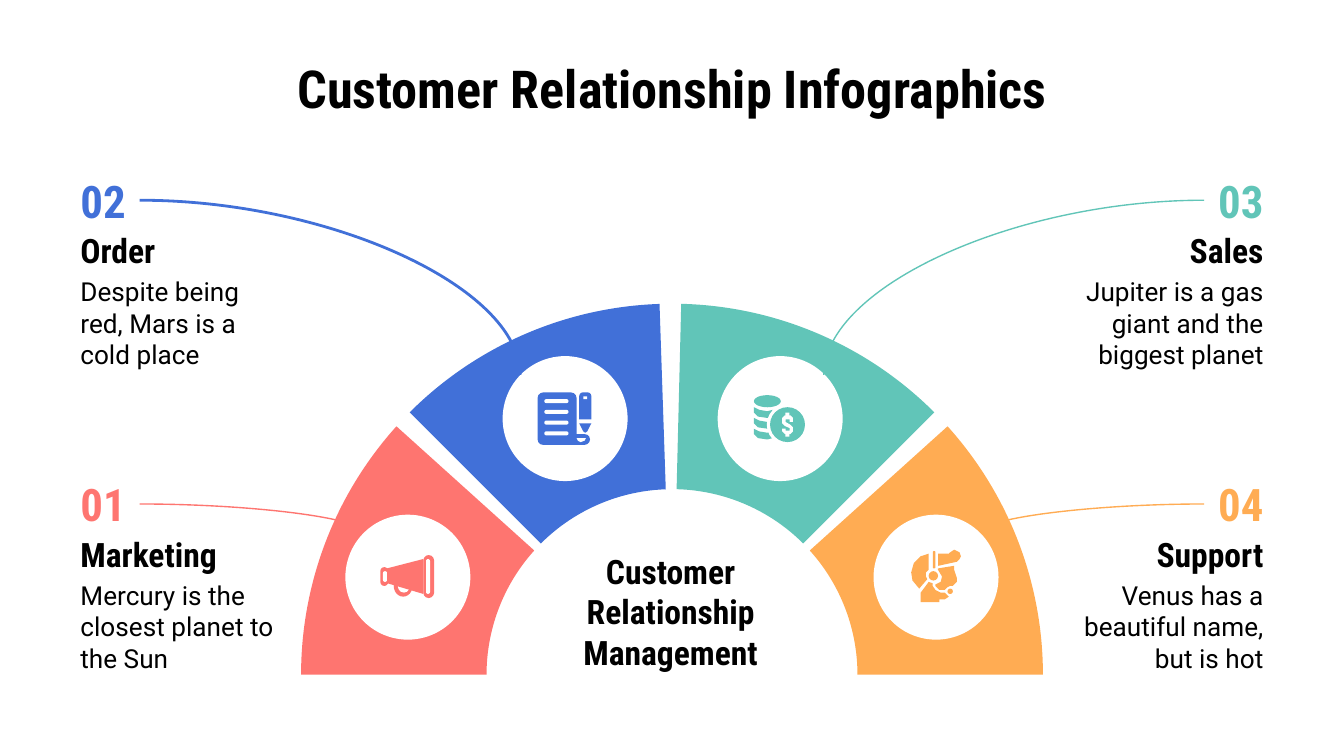
from dataclasses import dataclass

from lxml import etree
from pptx import Presentation
from pptx import util as u
from pptx.dml.color import RGBColor
from pptx.enum import shapes, text
from pptx.oxml.ns import qn

COLUMNS = 100  # the slide is a grid of 100 columns of square cells
CELL = u.Inches(0.1)
ICON_UNIT = CELL / 10
DISC = 9.3
OVAL = shapes.MSO_SHAPE.OVAL
ROUNDED = shapes.MSO_SHAPE.ROUNDED_RECTANGLE
RECTANGLE = shapes.MSO_SHAPE.RECTANGLE
ROUND_TOP = shapes.MSO_SHAPE.ROUND_2_SAME_RECTANGLE


@dataclass(frozen=True)
class Theme:
    ink: str = "000000"
    paper: str = "FFFFFF"
    red: str = "FE7570"
    blue: str = "4170D8"
    teal: str = "61C5B8"
    orange: str = "FFAC53"
    heading: str = "Roboto Condensed"
    body: str = "Roboto"
    title_size: int = 28
    number_size: int = 24
    name_size: int = 18
    body_size: int = 14


THEME = Theme()


@dataclass(frozen=True)
class Mark:
    """A preset shape of an icon, in tenths of a cell from its disc's corner."""
    preset: shapes.MSO_SHAPE
    box: tuple[float, float, float, float]
    cut: bool = False
    rounding: float = 0.5


@dataclass(frozen=True)
class Outline:
    points: list[tuple[float, float]]
    cut: bool = False


@dataclass(frozen=True)
class Topic:
    number: str
    name: str
    detail: str
    color: str
    arc: tuple[float, float]  # start and end angle in degrees
    disc: tuple[float, float]  # column and row
    row: float
    curve_end: tuple[float, float]
    icon: list[Mark | Outline]
    on_right: bool = False
    curve_width: float = 0.75


MEGAPHONE = [
    Mark(OVAL, (36, 45, 14, 16)), Mark(OVAL, (39, 48, 9, 10), cut=True),
    Mark(ROUNDED, (26, 39, 6, 14)), Mark(ROUNDED, (28, 42, 3, 8), cut=True),
    Outline([(31, 40), (58, 33), (58, 59), (31, 51)]),
    Mark(ROUNDED, (58, 30, 8, 32)), Mark(ROUNDED, (60, 33, 3, 26), cut=True),
]
ORDER_FORM = [
    Mark(ROUNDED, (26, 27, 29, 39), rounding=0.14), Mark(ROUNDED, (40, 58, 25, 8)),
    Outline([(55, 61), (62, 61), (61, 63), (58, 64), (56, 63)], cut=True),
    *[Mark(ROUNDED, (31, 32 + 8 * line, 18, 3), cut=True) for line in range(4)],
    Mark(ROUND_TOP, (57, 27, 9, 20), rounding=0.3), Mark(RECTANGLE, (60, 30, 3, 2), cut=True),
    Outline([(57, 50), (66, 50), (63, 56), (61.5, 57), (60, 56)]),
]
COINS = [
    Mark(OVAL, (27, 29, 20, 9)),
    *[Outline([(27, y), (31, y + 2), (37, y + 3), (41, y + 2),
               (41, y + 7), (37, y + 8), (30, y + 7), (27, y + 4)]) for y in (38, 46, 54)],
    Mark(OVAL, (36.5, 35.5, 31, 31), cut=True), Mark(OVAL, (39, 38, 26, 26)),
    Mark(RECTANGLE, (50.5, 42, 3, 3), cut=True), Mark(RECTANGLE, (50.5, 57, 3, 3), cut=True),
    Outline([(56, 49), (56, 46), (54, 44), (50, 44), (48, 46), (48, 50), (50, 52),
             (53.5, 53.5), (53.5, 55.5), (50.5, 55.5), (50.5, 54), (48, 54), (48, 56),
             (50, 58), (54, 58), (56, 56), (56, 53), (54, 51), (50.5, 49), (50.5, 47),
             (53.5, 47), (53.5, 49)], cut=True),
]
AGENT = [
    Outline([(41, 29), (35, 31), (30, 36), (28, 43), (29, 49), (34, 55),
             (40, 48), (39, 46), (39, 43), (41, 41)]),
    Outline([(41, 50), (35, 58), (35, 65), (49, 65), (49, 63), (53, 63), (56, 61),
             (53, 58), (50, 58), (46, 56), (44, 53), (44, 51)]),
    Outline([(60, 38), (48, 40), (48, 41), (51, 46), (50, 50), (46, 52), (46, 53), (49, 56),
             (53, 56), (55, 54), (57, 53), (59, 53), (62, 50), (62, 47), (60, 41)]),
    Outline([(60, 26), (57, 28), (56, 29), (48, 29), (48, 38), (62, 35),
             (64, 33), (65, 31), (64, 28), (62, 27)]),
    Mark(ROUNDED, (44, 27, 2, 13)), Mark(OVAL, (41, 42, 7, 7)), Mark(OVAL, (55, 55, 4, 4)),
]

TOPICS = [
    Topic("01", "Marketing", "Mercury is the closest planet to the Sun", THEME.red,
          (180, 222.02), (25.7, 38.3), 35.7, (27, 39.6), MEGAPHONE),
    Topic("02", "Order", "Despite being red, Mars is a cold place", THEME.blue,
          (225, 268.07), (37.4, 26.5), 13.1, (38.7, 27.9), ORDER_FORM, curve_width=1.5),
    Topic("03", "Sales", "Jupiter is a gas giant and the biggest planet", THEME.teal,
          (271.42, 315), (53.4, 26.5), 13.1, (61.3, 27.9), COINS, on_right=True),
    Topic("04", "Support", "Venus has a beautiful name, but is hot", THEME.orange,
          (317.98, 0), (65, 38.3), 35.7, (73, 39.6), AGENT, on_right=True),
]


def cells(*counts: float) -> list[u.Emu]:
    return [u.Emu(round(count * CELL)) for count in counts]


def paint(shape, color: str) -> None:
    shape.shadow.inherit = False
    shape.fill.solid()
    shape.fill.fore_color.rgb = RGBColor.from_string(color)
    shape.line.fill.background()


def write(shape, words: str, size: int, color: str = THEME.ink, font: str = THEME.heading,
          align=text.PP_ALIGN.LEFT, anchor=text.MSO_ANCHOR.MIDDLE) -> None:
    frame = shape.text_frame
    frame.text = words
    frame.word_wrap = True
    frame.auto_size = text.MSO_AUTO_SIZE.NONE
    frame.vertical_anchor = anchor
    frame.margin_left = frame.margin_right = frame.margin_top = frame.margin_bottom = CELL
    paragraph = frame.paragraphs[0]
    paragraph.alignment = align
    paragraph.font.name = font
    paragraph.font.size = u.Pt(size)
    paragraph.font.bold = font == THEME.heading
    paragraph.font.color.rgb = RGBColor.from_string(color)


def draw_segment(slide, topic: Topic) -> None:
    arc = slide.shapes.add_shape(shapes.MSO_SHAPE.BLOCK_ARC, *cells(22.4, 22.6, 55.2, 55.2))
    for index, angle in enumerate(topic.arc):
        arc.adjustments[index] = angle * 0.6  # 60000 parts to a degree, in 100000ths
    arc.adjustments[2] = 0.25
    paint(arc, topic.color)
    paint(slide.shapes.add_shape(OVAL, *cells(*topic.disc, DISC, DISC)), THEME.paper)


def draw_icon(slide, topic: Topic) -> None:
    left, top = cells(*topic.disc)
    for part in topic.icon:
        if isinstance(part, Mark):
            x, y, width, height = (round(length * ICON_UNIT) for length in part.box)
            shape = slide.shapes.add_shape(part.preset, left + x, top + y, width, height)
            if part.preset in (ROUNDED, ROUND_TOP):
                shape.adjustments[0] = part.rounding
        else:
            points = [(left + x * ICON_UNIT, top + y * ICON_UNIT) for x, y in part.points]
            builder = slide.shapes.build_freeform(*points[0])
            builder.add_line_segments(points[1:])
            shape = builder.convert_to_shape()
        paint(shape, THEME.paper if part.cut else topic.color)


def draw_label(slide, topic: Topic) -> None:
    align = text.PP_ALIGN.RIGHT if topic.on_right else text.PP_ALIGN.LEFT
    lines = [
        (topic.name, 3.7, 12.3, 3.6, THEME.name_size, THEME.ink, THEME.heading),
        (topic.detail, 7.45, 16.5, 6.9, THEME.body_size, THEME.ink, THEME.body),
        (topic.number, 0, 5.4, 3.6, THEME.number_size, topic.color, THEME.heading),
    ]
    for words, drop, width, height, size, color, font in lines:
        column = COLUMNS - 5 - width if topic.on_right else 5
        box = slide.shapes.add_textbox(*cells(column, topic.row + drop, width, height))
        write(box, words, size, color, font, align)


def draw_curve(slide, topic: Topic) -> None:
    start = COLUMNS - 10.4 if topic.on_right else 10.4
    curve = slide.shapes.add_connector(
        shapes.MSO_CONNECTOR.CURVE, *cells(start, topic.row + 1.8, *topic.curve_end))
    curve.line.color.rgb = RGBColor.from_string(topic.color)
    curve.line.width = u.Pt(topic.curve_width)
    properties = curve._element.spPr
    properties.find(qn("a:prstGeom")).set("prst", "curvedConnector2")
    etree.SubElement(properties, qn("a:effectLst"))


def main() -> None:
    deck = Presentation()
    deck.slide_width = COLUMNS * CELL
    deck.slide_height = deck.slide_width * 9 // 16
    slide = deck.slides.add_slide(deck.slide_layouts[5])

    title = slide.shapes.title
    title.left, title.top, title.width, title.height = cells(5, 4.5, 90, 4.1)
    write(title, "Customer Relationship Infographics", THEME.title_size,
          align=text.PP_ALIGN.CENTER)
    for topic in TOPICS:
        for draw in (draw_segment, draw_icon, draw_label, draw_curve):
            draw(slide, topic)
    hub = slide.shapes.add_textbox(*cells(39.3, 40, 21.2, 10.1))
    write(hub, "Customer Relationship Management", THEME.name_size,
          align=text.PP_ALIGN.CENTER, anchor=text.MSO_ANCHOR.TOP)
    deck.save("out.pptx")


if __name__ == "__main__":
    main()
